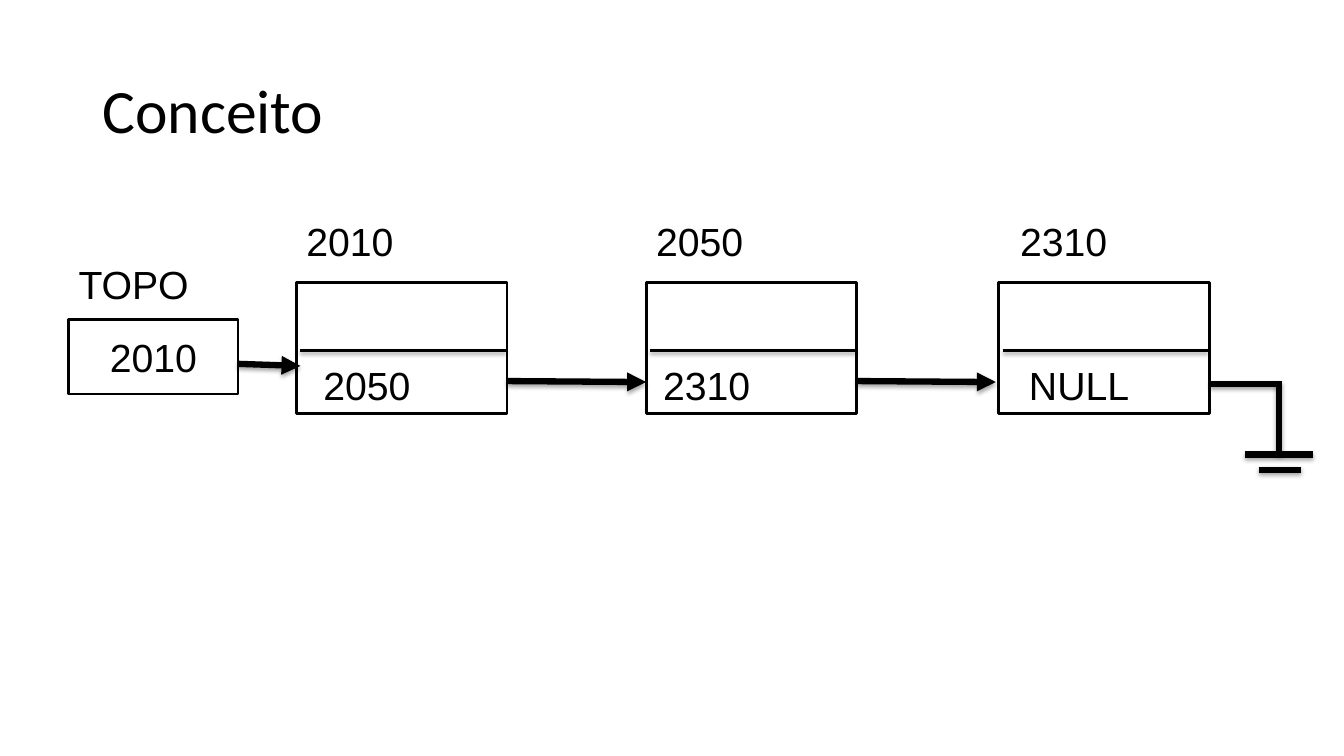
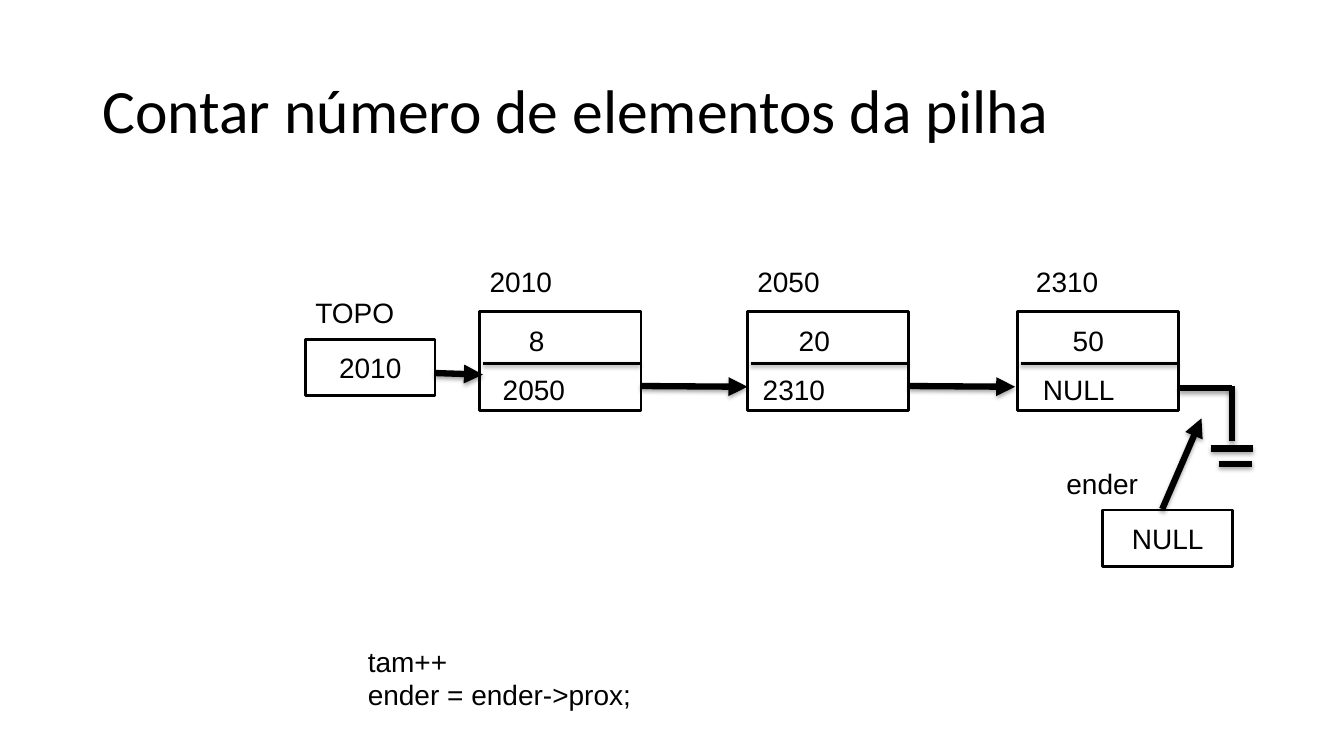
from lxml import etree
from pptx import Presentation
from pptx.dml.color import RGBColor
from pptx.enum import shapes, text
from pptx.oxml import ns
from pptx.util import Pt

COLORS = {"ink": "000000", "paper": "FFFFFF"}
TITLE_FONT, BODY_FONT = "Calibri", "Arial"
THIN, THICK = 2, 4.5
NODE_W, NODE_H = 150.5, 93.6  # full-size node; stack offsets are relative to it


def rgb(name):
    return RGBColor.from_string(COLORS[name])


def sub(parent, tag, **attrs):
    return etree.SubElement(parent, ns.qn(tag), {k: str(v) for k, v in attrs.items()})


def write(tf, content, size=20, font=BODY_FONT, color="ink",
          align=text.PP_ALIGN.LEFT, anchor=text.MSO_ANCHOR.TOP, spacing=None):
    """Fill a text frame, one paragraph per line of content."""
    tf.word_wrap = True
    tf.vertical_anchor = anchor
    for i, line in enumerate(content.split("\n")):
        p = tf.add_paragraph() if i else tf.paragraphs[0]
        p.alignment = align
        if spacing:
            p.line_spacing = spacing
        r = p.add_run()
        r.text = line
        r.font.name, r.font.size = font, Pt(size)
        r.font.color.rgb = rgb(color)


class Deck:
    def __init__(self):
        self.prs = Presentation()
        self.prs.slide_width, self.prs.slide_height = Pt(960), Pt(540)
        self.slide = None

    def new_slide(self, title):
        self.slide = self.prs.slides.add_slide(self.prs.slide_layouts[5])
        sp = self.slide.shapes.title
        sp.left, sp.top, sp.width, sp.height = Pt(66), Pt(28.8), Pt(828), Pt(104.4)
        write(sp.text_frame, title, size=44, font=TITLE_FONT,
              anchor=text.MSO_ANCHOR.MIDDLE, spacing=0.9)

    def box(self, x, y, w, h, content="", size=20):
        sp = self.slide.shapes.add_shape(
            shapes.MSO_SHAPE.RECTANGLE, Pt(x), Pt(y), Pt(w), Pt(h))
        sp.shadow.inherit = False
        sp.fill.solid()
        sp.fill.fore_color.rgb = rgb("paper")
        sp.line.color.rgb = rgb("ink")
        sp.line.width = Pt(THIN)
        if content:
            write(sp.text_frame, content, size=size, align=text.PP_ALIGN.CENTER,
                  anchor=text.MSO_ANCHOR.MIDDLE)

    def label(self, x, y, w, h, content, size=20):
        sp = self.slide.shapes.add_textbox(Pt(x), Pt(y), Pt(w), Pt(h))
        sp.text_frame.auto_size = text.MSO_AUTO_SIZE.SHAPE_TO_FIT_TEXT
        write(sp.text_frame, content, size=size)

    def line(self, x1, y1, x2, y2, width=THICK, arrow=False):
        """Draw a straight line with a soft shadow below it."""
        cx = self.slide.shapes.add_connector(
            shapes.MSO_CONNECTOR.STRAIGHT, Pt(x1), Pt(y1), Pt(x2), Pt(y2))
        cx.line.color.rgb = rgb("ink")
        cx.line.width = Pt(width)
        if arrow:
            sub(cx.line._get_or_add_ln(), "a:tailEnd", type="triangle")
        effects = sub(cx._element.spPr, "a:effectLst")
        shadow = sub(effects, "a:outerShdw", blurRad=Pt(3.1),
                     dist=Pt(1.6 if width == THIN else 1.8),
                     dir=5400000, rotWithShape=0)
        clr = sub(shadow, "a:srgbClr", val=COLORS["ink"])
        sub(clr, "a:alpha", val=38000 if width == THIN else 35000)

    def stack(self, left, top, node_w, node_h, size, values=()):
        """Draw the linked stack, scaled to the node size, first node at left, top."""
        sx, sy = node_w / NODE_W, node_h / NODE_H

        def at(x, y):
            return left + x * sx, top + y * sy

        def tag(x, y, content):
            self.label(*at(x, y), 102.2 * sx, 41 * sy, content, size)

        def link(x1, y1, x2, y2, **fmt):
            self.line(*at(x1, y1), *at(x2, y2), **fmt)

        # node x, address, address inset, next, next inset
        nodes = [(0, "2010", 0, "2050", 12.2),
                 (249.8, "2050", 0, "2310", 5),
                 (501.8, "2310", 8, "NULL", 14.4)]
        for x, *_ in nodes:
            self.box(*at(x, 0), node_w, node_h)
            link(x + 2.9, 49, x + 149.5, 49, width=THIN)
        self.box(*at(-162.7, 26.6), 121 * sx, 53.3 * sy, "2010", size)
        tag(-162.7, -19.4, "TOPO")
        for x, address, address_in, following, next_in in nodes:
            tag(x + address_in, -49.7, address)
            tag(x + next_in, 52.6, following)
        for (x, *_), (value, inset) in zip(nodes, values):
            tag(x + inset, 6.7, value)
        link(-41.7, 58.3, 2.9, 59.8, arrow=True)
        for x, *_ in nodes[:-1]:
            link(x + NODE_W, 70.6, x + 249.8, 71.3, arrow=True)
        link(652.3, 72.7, 702, 72.7)
        link(702, 70.6, 702, 123.1)

    def ground(self, y, *plates):
        """Draw the plates of the ground symbol, each given as its x1 and x2."""
        for i, (x1, x2) in enumerate(plates):
            self.line(x1, y + i * 10.8, x2, y + i * 10.8)


def main():
    deck = Deck()

    deck.new_slide("Conceito")
    deck.stack(211.7, 201.6, NODE_W, NODE_H, 28)
    deck.ground(324.7, (889.2, 938.2), (899.3, 929.5))

    deck.new_slide("Contar número de elementos da pilha")
    deck.stack(342.7, 222.5, 115.2, 70.6, 20,
               values=[("8", 36.7), ("20", 38.6), ("50", 42.3)])
    deck.ground(320.4, (864.7, 895), (870.5, 894.2))
    deck.box(787.7, 364.3, 92.9, 40.3, "NULL")
    deck.line(830.2, 363.6, 858.2, 298.8, arrow=True)
    deck.label(754.6, 329.8, 78.5, 31.7, "ender")
    deck.label(255.6, 456.5, 223.9, 55.4, "tam++\nender = ender->prox;")

    deck.prs.save("out.pptx")


if __name__ == "__main__":
    main()
